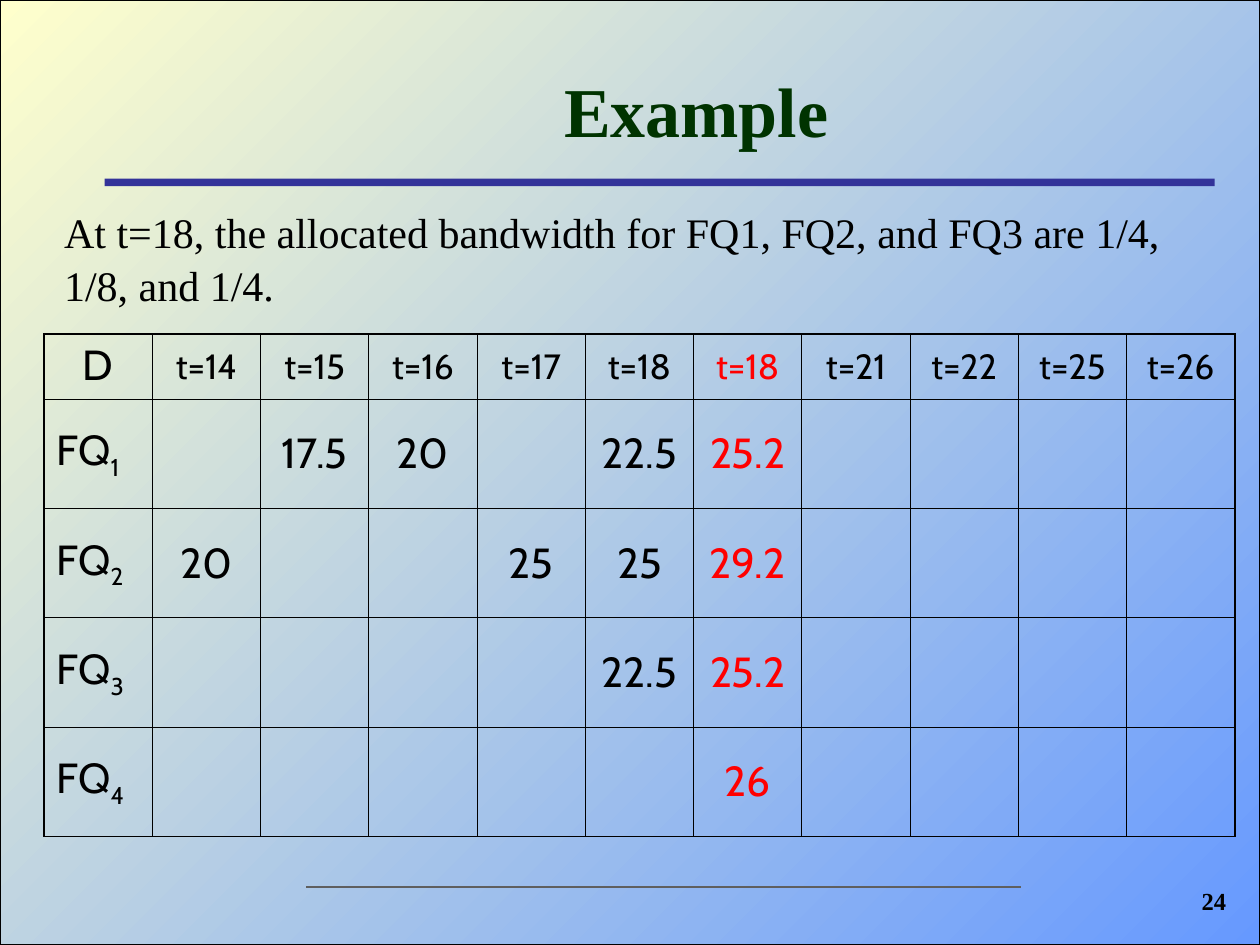
from dataclasses import dataclass

from lxml import etree
from pptx import Presentation
from pptx.dml.color import RGBColor
from pptx.enum.shapes import MSO_CONNECTOR, MSO_SHAPE
from pptx.enum.text import MSO_ANCHOR, PP_ALIGN
from pptx.oxml.ns import qn
from pptx.util import Inches, Pt

LEFT, CENTER, RIGHT = PP_ALIGN.LEFT, PP_ALIGN.CENTER, PP_ALIGN.RIGHT
TOP, MIDDLE = MSO_ANCHOR.TOP, MSO_ANCHOR.MIDDLE
RECTANGLE, STRAIGHT = MSO_SHAPE.RECTANGLE, MSO_CONNECTOR.STRAIGHT


@dataclass(frozen=True)
class Theme:
    """Colours, fonts, type sizes and line widths."""
    ink: str = "000000"
    title: str = "003300"
    highlight: str = "FF0000"
    bar: str = "333399"
    footer_rule: str = "5F5F5F"
    blue: str = "6699FF"
    cream: str = "FFFFCC"
    serif: str = "Times New Roman"
    sans: str = "Cabin"
    title_size: int = 40
    body_size: int = 24
    header_size: int = 20
    number_size: int = 14
    outer_border: float = 1.08
    inner_border: float = 0.45


class SlideBuilder:
    """Draws elements on one slide, placed in percent of its width and height."""

    def __init__(self, presentation, theme):
        """Add a blank slide with its background colour."""
        self.theme = theme
        self.width = presentation.slide_width
        self.height = presentation.slide_height
        self.slide = presentation.slides.add_slide(presentation.slide_layouts[6])
        fill = self.slide.background.fill
        fill.solid()
        fill.fore_color.rgb = RGBColor.from_string(theme.cream)

    def place(self, *shares):
        """Turn alternating horizontal and vertical percentages into lengths."""
        sides = (self.width, self.height) * 2
        return [round(side * share / 100) for side, share in zip(sides, shares)]

    def add_text_run(self, paragraph, text, color, subscript=False, **formats):
        """Add a run with the given font values."""
        run = paragraph.add_run()
        run.text = text
        run.font.color.rgb = RGBColor.from_string(color)
        for name, value in formats.items():
            setattr(run.font, name, value)
        if subscript:
            run.font._element.set("baseline", "-25000")

    def gradient_panel(self, box):
        """Draw a panel fading from blue at bottom right to cream at top left."""
        panel = self.slide.shapes.add_shape(RECTANGLE, *self.place(*box))
        panel.shadow.inherit = False
        panel.fill.gradient()
        panel.fill.gradient_angle = 135
        for stop, color in zip(panel.fill.gradient_stops, (self.theme.blue, self.theme.cream)):
            stop.color.rgb = RGBColor.from_string(color)
        panel.line.color.rgb = RGBColor.from_string(self.theme.ink)
        panel.line.width = Pt(0.75)

    def bar(self, box, color):
        """Draw a solid bar without an outline."""
        bar = self.slide.shapes.add_shape(RECTANGLE, *self.place(*box))
        bar.shadow.inherit = False
        bar.fill.solid()
        bar.fill.fore_color.rgb = RGBColor.from_string(color)
        bar.line.fill.background()

    def rule(self, ends, color, width):
        """Draw a straight line."""
        rule = self.slide.shapes.add_connector(STRAIGHT, *self.place(*ends))
        etree.SubElement(rule._element.spPr, qn("a:effectLst"))
        rule.line.color.rgb = RGBColor.from_string(color)
        rule.line.width = Pt(width)

    def text(self, box, text, color, size, bold=False, align=LEFT, anchor=TOP, spacing=1.0):
        """Add a wrapping serif text box."""
        frame = self.slide.shapes.add_textbox(*self.place(*box)).text_frame
        frame.word_wrap = True
        frame.vertical_anchor = anchor
        paragraph = frame.paragraphs[0]
        paragraph.alignment = align
        paragraph.line_spacing = spacing
        self.add_text_run(paragraph, text, color, size=Pt(size), bold=bold, name=self.theme.serif)

    def borders(self, cell, widths):
        """Set the left, right, top and bottom borders of a cell."""
        properties = cell._tc.get_or_add_tcPr()
        for side, width in zip("LRTB", widths):
            line = etree.SubElement(properties, qn(f"a:ln{side}"), w=str(Pt(width)))
            fill = etree.SubElement(line, qn("a:solidFill"))
            etree.SubElement(fill, qn("a:srgbClr"), val=self.theme.ink)

    def table(self, box, rows, header_share, highlight_column):
        """Draw a clear ruled table with one highlighted column."""
        theme = self.theme
        row_count, column_count = len(rows), len(rows[0])
        left, top, width, height = self.place(*box)
        table = self.slide.shapes.add_table(
            row_count, column_count, left, top, width, height).table
        table.first_row = table.horz_banding = False
        for column in table.columns:
            column.width = round(width / column_count)
        header_height = round(height * header_share)
        for index, row in enumerate(table.rows):
            row.height = round((height - header_height) / (row_count - 1)) if index else header_height
        for row, values in enumerate(rows):
            for column, value in enumerate(values):
                cell = table.cell(row, column)
                edges = (column == 0, column == column_count - 1, row == 0, row == row_count - 1)
                self.borders(cell, [theme.outer_border if edge else theme.inner_border
                                    for edge in edges])
                cell.fill.background()
                corner = row == column == 0
                cell.vertical_anchor = TOP if corner else MIDDLE
                if not value:
                    continue
                paragraph = cell.text_frame.paragraphs[0]
                paragraph.alignment = LEFT if row and not column else CENTER
                color = theme.highlight if column == highlight_column else theme.ink
                size = theme.header_size if row == 0 and column else theme.body_size
                base, _, subscript = value.partition("_")
                formats = {"size": Pt(size), "name": theme.sans}
                self.add_text_run(paragraph, base, color, **formats)
                if subscript:
                    self.add_text_run(paragraph, subscript, color, subscript=True, **formats)


def main():
    """Build and save the scheduling example."""
    presentation = Presentation()
    presentation.slide_width, presentation.slide_height = Inches(10), Inches(7.5)
    theme = Theme()
    builder = SlideBuilder(presentation, theme)
    builder.gradient_panel((0, 0, 100, 100))
    builder.bar((8.3, 18.9, 88.1, 0.8), theme.bar)
    builder.rule((24.3, 93.87, 81, 93.87), theme.footer_rule, 1.5)
    builder.text((13.8, 4.4, 82.9, 14.4), "Example", theme.title, theme.title_size,
                 bold=True, align=CENTER, anchor=MIDDLE)
    times = [f"t={time}" for time in (14, 15, 16, 17, 18, 18, 21, 22, 25, 26)]
    deadlines = [
        ["", "17.5", "20", "", "22.5", "25.2"],
        ["20", "", "", "25", "25", "29.2"],
        ["", "", "", "", "22.5", "25.2"],
        ["", "", "", "", "", "26"],
    ]
    rows = [["D", *times]]
    for queue, values in enumerate(deadlines, 1):
        rows.append([f"FQ_{queue}", *values, *[""] * (len(times) - len(values))])
    builder.table((3.5, 35.33, 94.5, 53.2), rows, header_share=0.13, highlight_column=6)
    builder.text((4.1, 20.93, 93.1, 12),
                 "At t=18, the allocated bandwidth for FQ1, FQ2, and FQ3 are 1/4, 1/8, and 1/4.",
                 theme.ink, theme.body_size, spacing=1.05)
    builder.text((87.5, 93.07, 10.8, 6.67), "24", theme.ink, theme.number_size,
                 bold=True, align=RIGHT)
    presentation.save("out.pptx")


if __name__ == "__main__":
    main()
